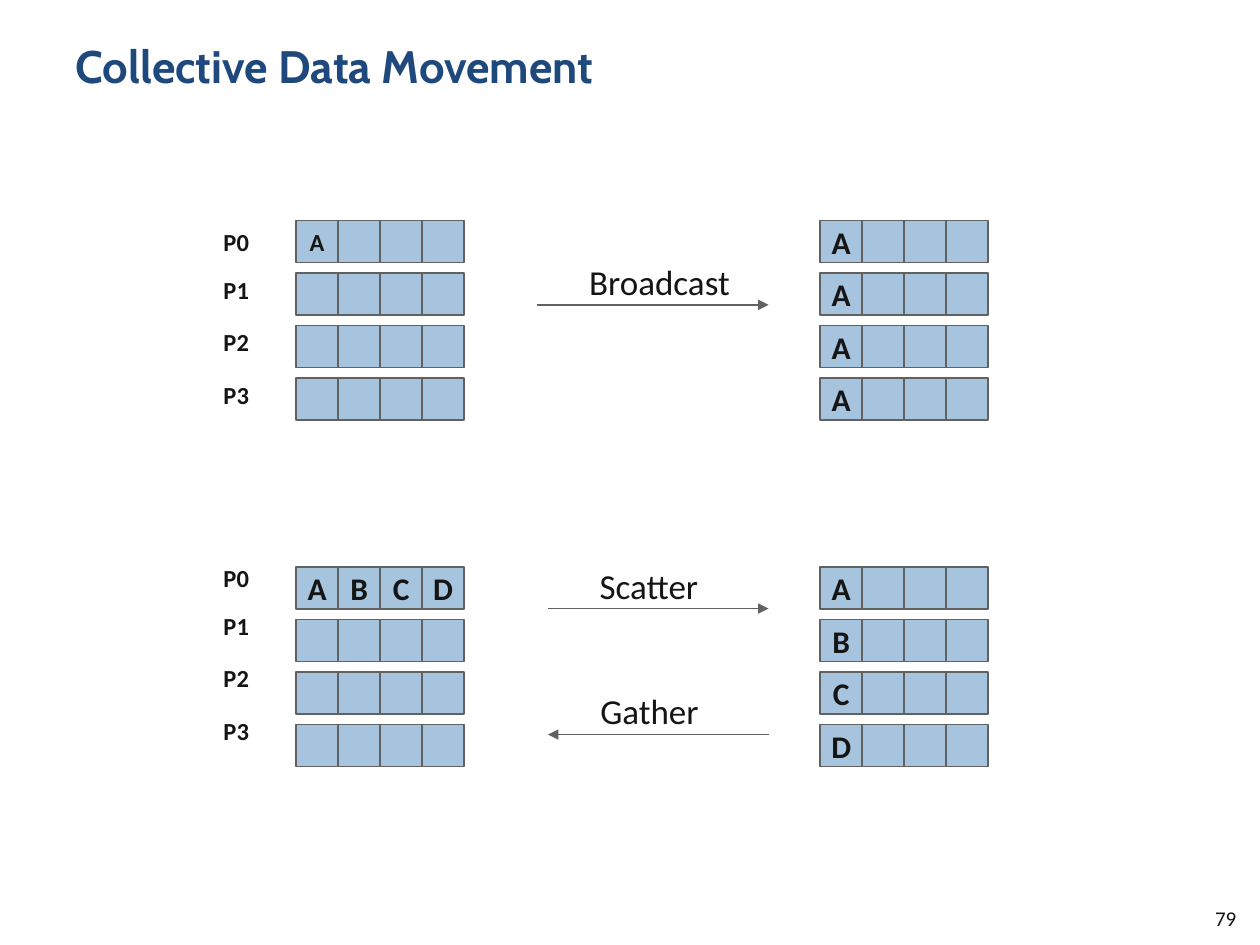
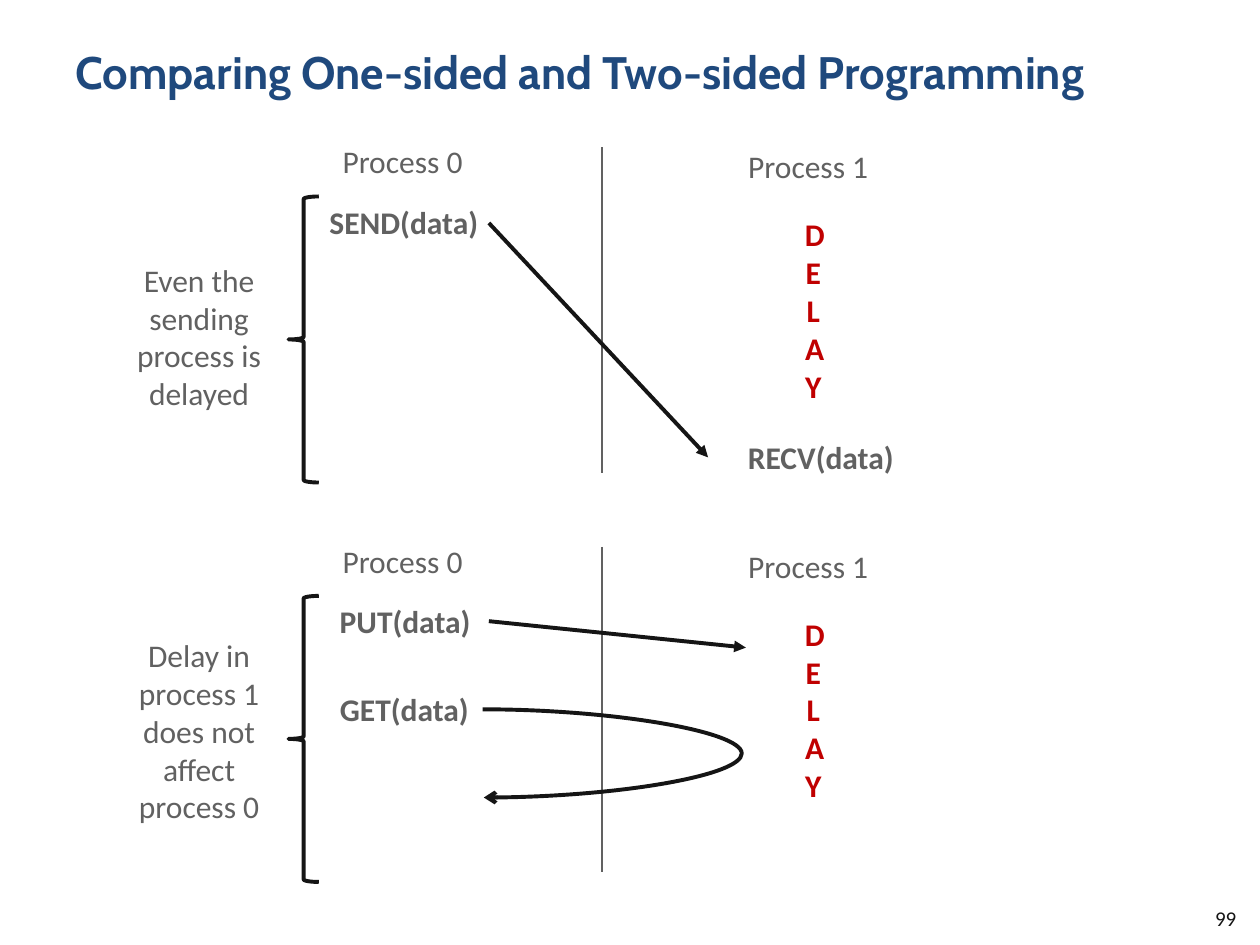
from dataclasses import dataclass

from lxml import etree
from pptx import Presentation
from pptx.dml.color import RGBColor
from pptx.enum import shapes, text
from pptx.oxml.ns import qn
from pptx.util import Inches, Pt

COLORS = {
    "title": "1F497D",
    "ink": "151515",
    "grey": "616161",
    "cell": "A6C4DE",
    "delay": "C00000",
}
TITLE_FONT, BODY_FONT = "Cabin", "Calibri"
LEFT, CENTER, RIGHT = text.PP_ALIGN.LEFT, text.PP_ALIGN.CENTER, text.PP_ALIGN.RIGHT

CELL = 1 / 3
ROW_STEP = 5 / 12
BEFORE_LEFT, AFTER_LEFT = 2.35, 6.51
PROCESSES = 4


@dataclass
class Label:
    text: str
    left: float
    top: float
    width: float
    height: float
    size: int = 18
    color: str = "grey"
    bold: bool = False
    align: text.PP_ALIGN = CENTER
    wrap: bool = False


@dataclass
class Arrow:
    start: tuple[float, float]
    end: tuple[float, float]
    color: str = "ink"
    weight: float = 2.25
    head: str | None = "triangle"
    reach: float | None = None  # how far a curved arrow swings out to the right


@dataclass
class MemoryGrid:
    """Rows of cells, one per process; each string fills a row from the left."""
    left: float
    top: float
    rows: tuple[str, ...]
    first_row_size: int = 18


@dataclass
class Timeline:
    """Two processes side by side, with the delay in process 1."""
    top: float
    note: str
    note_top: float
    note_height: float
    calls: list[Label]
    arrows: list[Arrow]


def rgb(name: str) -> RGBColor:
    return RGBColor.from_string(COLORS[name])


def set_font(paragraph, size: int, color: str, bold: bool, name: str = BODY_FONT) -> None:
    font = paragraph.font
    font.name, font.size, font.bold = name, Pt(size), bold
    font.color.rgb = rgb(color)


def add_label(slide, label: Label, anchor=text.MSO_ANCHOR.TOP, grow: bool = True) -> None:
    box = slide.shapes.add_textbox(
        Inches(label.left), Inches(label.top), Inches(label.width), Inches(label.height))
    frame = box.text_frame
    frame.word_wrap = label.wrap
    frame.vertical_anchor = anchor
    if grow:
        frame.auto_size = text.MSO_AUTO_SIZE.SHAPE_TO_FIT_TEXT
    paragraph = frame.paragraphs[0]
    paragraph.text, paragraph.alignment = label.text, label.align
    set_font(paragraph, label.size, label.color, label.bold)


def add_arrow(slide, arrow: Arrow) -> None:
    kind = shapes.MSO_CONNECTOR.CURVE if arrow.reach else shapes.MSO_CONNECTOR.STRAIGHT
    connector = slide.shapes.add_connector(
        kind, *(Inches(value) for value in (*arrow.start, *arrow.end)))
    connector.line.color.rgb = rgb(arrow.color)
    connector.line.width = Pt(arrow.weight)
    properties = connector._element.spPr
    if arrow.reach:
        share = arrow.reach / (arrow.end[0] - arrow.start[0])
        adjustments = properties.find(qn("a:prstGeom")).get_or_add_avLst()
        etree.SubElement(adjustments, qn("a:gd"), name="adj1", fmla=f"val {round(share * 100000)}")
    if arrow.head:
        etree.SubElement(connector.line._get_or_add_ln(), qn("a:tailEnd"), type=arrow.head)
    etree.SubElement(properties, qn("a:effectLst"))


def add_cell(slide, left: float, top: float, value: str, size: int) -> None:
    cell = slide.shapes.add_shape(
        shapes.MSO_SHAPE.RECTANGLE, Inches(left), Inches(top), Inches(CELL), Inches(CELL))
    cell.shadow.inherit = False
    cell.fill.solid()
    cell.fill.fore_color.rgb = rgb("cell")
    cell.line.color.rgb = rgb("grey")
    cell.line.width = Pt(1)
    if value:
        frame = cell.text_frame
        frame.word_wrap = False
        frame.vertical_anchor = text.MSO_ANCHOR.MIDDLE
        paragraph = frame.paragraphs[0]
        paragraph.text, paragraph.alignment = value, CENTER
        set_font(paragraph, size, "ink", True)


def add_memory_grid(slide, grid: MemoryGrid) -> None:
    for row, values in enumerate(grid.rows):
        size = 18 if row else grid.first_row_size
        for column, value in enumerate(values.ljust(PROCESSES)):
            add_cell(slide, grid.left + column * CELL, grid.top + row * ROW_STEP,
                     value.strip(), size)


def add_process_names(slide, top: float) -> None:
    for process in range(PROCESSES):
        offset = 0.38 + (process - 1) * ROW_STEP if process else 0
        add_label(slide, Label(f"P{process}", 1.67, top + offset, 0.41, 0.34,
                               size=14, color="ink", bold=True))


def add_brace(slide, top: float) -> None:
    brace = slide.shapes.add_shape(
        shapes.MSO_SHAPE.LEFT_BRACE, Inches(2.29), Inches(top), Inches(0.24), Inches(2.27))
    brace.shadow.inherit = False
    brace.fill.background()
    brace.line.color.rgb = rgb("ink")
    brace.line.width = Pt(2.25)


def add_timeline(slide, timeline: Timeline) -> None:
    top = timeline.top
    add_arrow(slide, Arrow((4.78, top + 0.09), (4.78, top + 2.67), "grey", 1, head=None))
    add_brace(slide, top + 0.48)
    labels = [
        Label("Process 0", 2.62, top, 1.25, 0.4, align=LEFT),
        Label("Process 1", 5.84, top + 0.04, 1.44, 0.4, align=LEFT, wrap=True),
        Label("DELAY", 6.29, top + 0.58, 0.33, 1.62, color="delay", bold=True, wrap=True),
        Label(timeline.note, 0.87, timeline.note_top, 1.42, timeline.note_height, wrap=True),
    ]
    for label in labels + timeline.calls:
        add_label(slide, label)
    for arrow in timeline.arrows:
        add_arrow(slide, arrow)


def add_titled_slide(presentation, title: str, number: int, line_spacing: float = 1.0):
    slide = presentation.slides.add_slide(presentation.slide_layouts[5])
    shape = slide.shapes.title
    shape.left, shape.top, shape.width, shape.height = (
        Inches(value) for value in (0.5, 0.3, 9, 0.87))
    frame = shape.text_frame
    frame.word_wrap = True
    frame.auto_size = text.MSO_AUTO_SIZE.NONE
    frame.vertical_anchor = text.MSO_ANCHOR.TOP
    paragraph = frame.paragraphs[0]
    paragraph.text, paragraph.alignment = title, LEFT
    paragraph.line_spacing = line_spacing
    set_font(paragraph, 26, "title", True, TITLE_FONT)
    add_label(slide, Label(str(number), 8.83, 7.15, 1.08, 0.27, 12, "ink", align=RIGHT, wrap=True),
              anchor=text.MSO_ANCHOR.MIDDLE, grow=False)
    return slide


def build_data_movement(presentation) -> None:
    slide = add_titled_slide(presentation, "Collective Data Movement", 79, line_spacing=0.9)
    grids = [
        MemoryGrid(BEFORE_LEFT, 1.75, ("A", "", "", ""), first_row_size=14),
        MemoryGrid(AFTER_LEFT, 1.75, ("A", "A", "A", "A")),
        MemoryGrid(BEFORE_LEFT, 4.5, ("ABCD", "", "", "")),
        MemoryGrid(AFTER_LEFT, 4.5, ("A", "B", "C", "D")),
    ]
    for grid in grids:
        add_memory_grid(slide, grid)
    for top in (1.75, 4.42):
        add_process_names(slide, top)
    operations = [
        (Label("Broadcast", 4.57, 2.02, 1.33, 0.44, 20, "ink"), (4.26, 2.42), (6.1, 2.42)),
        (Label("Scatter", 4.65, 4.43, 1, 0.44, 20, "ink"), (4.35, 4.83), (6.1, 4.83)),
        (Label("Gather", 4.66, 5.42, 0.99, 0.44, 20, "ink"), (6.1, 5.83), (4.35, 5.83)),
    ]
    for label, start, end in operations:
        add_arrow(slide, Arrow(start, end, "grey", 1))
        add_label(slide, label)


def build_comparison(presentation) -> None:
    slide = add_titled_slide(presentation, "Comparing One-sided and Two-sided Programming", 99)
    two_sided = Timeline(
        1.08, "Even the sending process is delayed", 2.02, 1.31,
        calls=[Label("SEND(data)", 2.51, 1.56, 1.39, 0.4, bold=True),
               Label("RECV(data)", 5.83, 3.43, 1.37, 0.4, bold=True)],
        arrows=[Arrow((3.88, 1.77), (5.62, 3.63))])
    one_sided = Timeline(
        4.25, "Delay in process 1 does not affect process 0", 5, 1.62,
        calls=[Label("PUT(data)", 2.59, 4.73, 1.25, 0.4, bold=True),
               Label("GET(data)", 2.59, 5.43, 1.24, 0.4, bold=True)],
        arrows=[Arrow((3.88, 4.93), (5.92, 5.14)),
                Arrow((3.83, 5.63), (3.84, 6.33), head="arrow", reach=2.09)])
    for timeline in (two_sided, one_sided):
        add_timeline(slide, timeline)


def main() -> None:
    presentation = Presentation()
    presentation.slide_width, presentation.slide_height = Inches(10), Inches(7.5)
    build_data_movement(presentation)
    build_comparison(presentation)
    presentation.save("out.pptx")


if __name__ == "__main__":
    main()
